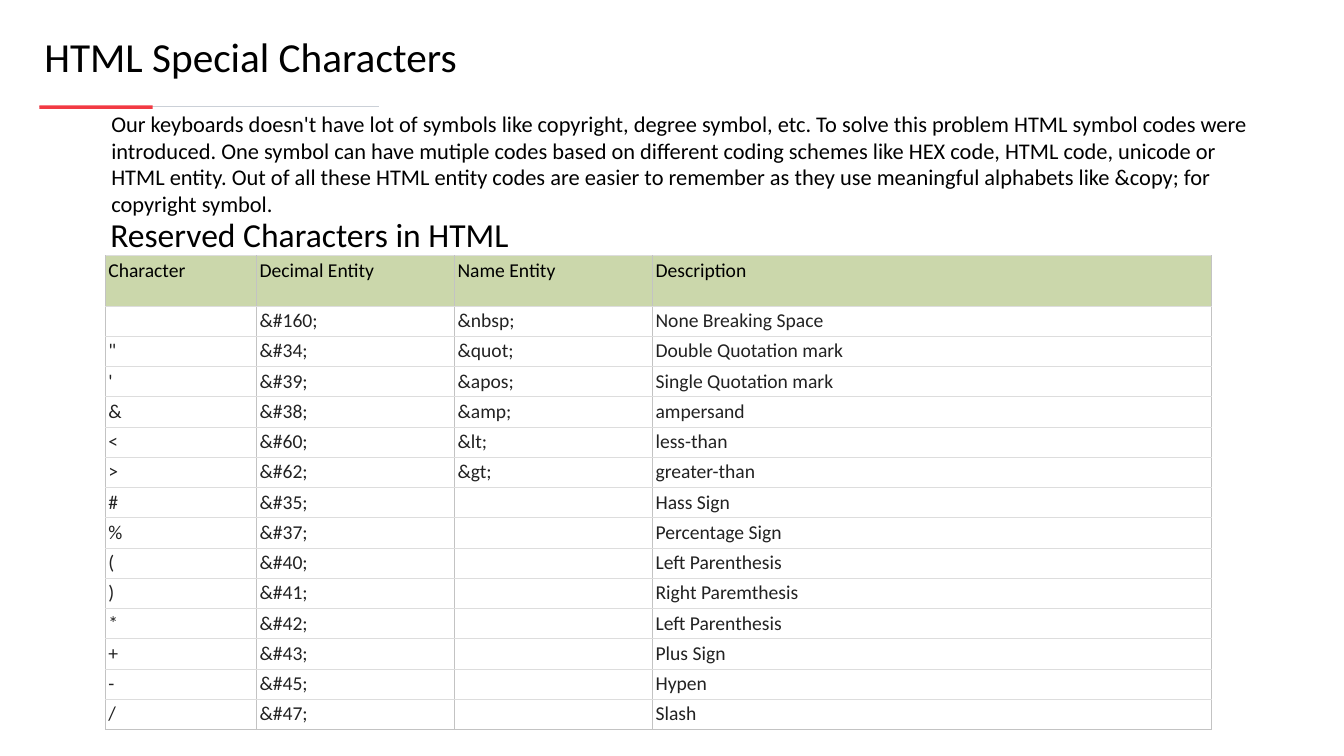
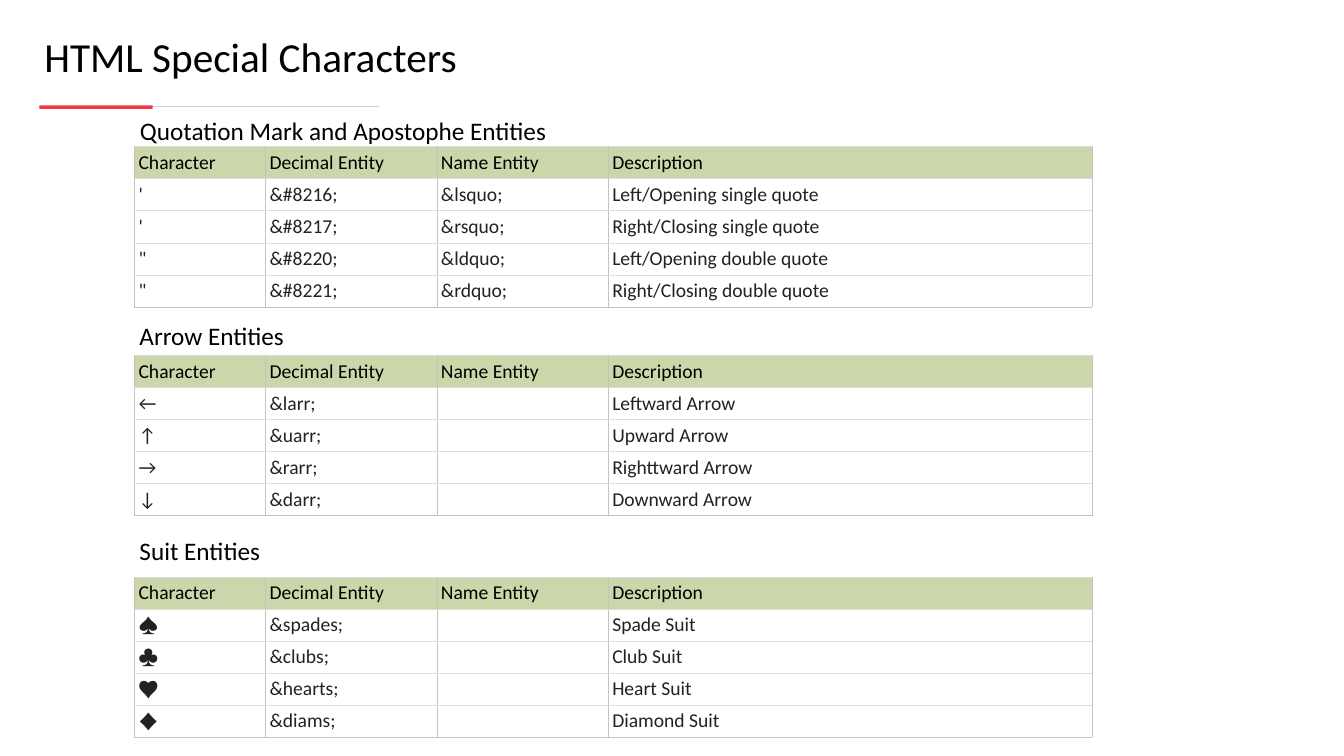
"""Build two slides on HTML special characters."""
import pptx
import pptx.util
import pptx.dml.color
import pptx.enum.shapes
import pptx.enum.text
import pptx.oxml

PX = 9144
FONT = "Calibri"
COLORS = {
    "text": "000000", "body": "222222", "header": "CBD7AB", "cell": "FFFFFF",
    "side": "C3C3C3", "rule": "DDDDDD", "line": "CBD0D7", "accent": "F23A43",
}
TITLE = "HTML Special Characters"
HEADER = ("Character", "Decimal Entity", "Name Entity", "Description")

INTRO = (
    "Our keyboards doesn't have lot of symbols like copyright, degree symbol, etc. "
    "To solve this problem HTML symbol codes were introduced. One symbol can have "
    "mutiple codes based on different coding schemes like HEX code, HTML code, unicode "
    "or HTML entity. Out of all these HTML entity codes are easier to remember as they "
    "use meaningful alphabets like &copy; for copyright symbol."
)
RESERVED = [
    ("", "&#160;", "&nbsp;", "None Breaking Space"),
    ('"', "&#34;", "&quot;", "Double Quotation mark"),
    ("'", "&#39;", "&apos;", "Single Quotation mark"),
    ("&", "&#38;", "&amp;", "ampersand"),
    ("<", "&#60;", "&lt;", "less-than"),
    (">", "&#62;", "&gt;", "greater-than"),
    ("#", "&#35;", "", "Hass Sign"),
    ("%", "&#37;", "", "Percentage Sign"),
    ("(", "&#40;", "", "Left Parenthesis"),
    (")", "&#41;", "", "Right Paremthesis"),
    ("*", "&#42;", "", "Left Parenthesis"),
    ("+", "&#43;", "", "Plus Sign"),
    ("-", "&#45;", "", "Hypen"),
    ("/", "&#47;", "", "Slash"),
]
QUOTES = [
    ("'", "&#8216;", "&lsquo;", "Left/Opening single quote"),
    ("'", "&#8217;", "&rsquo;", "Right/Closing single quote"),
    ('"', "&#8220;", "&ldquo;", "Left/Opening double quote"),
    ('"', "&#8221;", "&rdquo;", "Right/Closing double quote"),
]
ARROWS = [
    ("←", "&larr;", "", "Leftward Arrow"),
    ("↑", "&uarr;", "", "Upward Arrow"),
    ("→", "&rarr;", "", "Righttward Arrow"),
    ("↓", "&darr;", "", "Downward Arrow"),
]
SUITS = [
    ("♠", "&spades;", "", "Spade Suit"),
    ("♣", "&clubs;", "", "Club Suit"),
    ("♥", "&hearts;", "", "Heart Suit"),
    ("♦", "&diams;", "", "Diamond Suit"),
]
RESERVED_GRID = {"left": 209, "columns": (300, 393, 393, 1109),
                 "header": 100, "row": 60, "inset": 6}
ENTITY_GRID = {"left": 267, "columns": (260, 340, 340, 960),
               "header": 63, "row": 63, "inset": 8}
SLIDES = [
    {
        "texts": [(INTRO, 32, (211, 213, 2308, 226)),
                  ("Reserved Characters in HTML", 48, (209, 419, 1334, 91))],
        "tables": [(RESERVED, 507, RESERVED_GRID)],
    },
    {
        "texts": [("Quotation Mark and Apostophe Entities", 36, (268, 224, 1334, 71)),
                  ("Arrow Entities", 36, (267, 631, 1334, 71)),
                  ("Suit Entities", 36, (267, 1057, 1334, 71))],
        "tables": [(QUOTES, 291, ENTITY_GRID), (ARROWS, 705, ENTITY_GRID),
                   (SUITS, 1145, ENTITY_GRID)],
    },
]


def px(*lengths):
    return [pptx.util.Emu(length * PX) for length in lengths]


def rgb(name):
    return pptx.dml.color.RGBColor.from_string(COLORS[name])


def write(frame, text, size, color="text"):
    frame.text = text
    paragraph = frame.paragraphs[0]
    paragraph.font.name = FONT
    paragraph.font.size = pptx.util.Pt(size)
    paragraph.font.color.rgb = rgb(color)
    return paragraph


def add_title(slide):
    title = slide.shapes.title
    title.left, title.top, title.width, title.height = px(78, 59, 2505, 104)
    frame = title.text_frame
    frame.auto_size = pptx.enum.text.MSO_AUTO_SIZE.NONE
    frame.vertical_anchor = pptx.enum.text.MSO_ANCHOR.MIDDLE
    write(frame, TITLE, 59).alignment = pptx.enum.text.PP_ALIGN.LEFT


def add_underline(slide):
    line = slide.shapes.add_connector(
        pptx.enum.shapes.MSO_CONNECTOR.STRAIGHT, *px(78, 212, 752, 212))
    line.line.color.rgb = rgb("line")
    line.line.width = pptx.util.Pt(1.5)
    effects = f"<a:effectLst {pptx.oxml.ns.nsdecls('a')}/>"
    line._element.spPr.append(pptx.oxml.parse_xml(effects))
    accent = slide.shapes.add_shape(
        pptx.enum.shapes.MSO_SHAPE.RECTANGLE, *px(78, 209, 225, 7))
    accent.shadow.inherit = False
    accent.fill.solid()
    accent.fill.fore_color.rgb = rgb("accent")
    accent.line.fill.background()


def add_text(slide, text, size, box):
    frame = slide.shapes.add_textbox(*px(*box)).text_frame
    frame.word_wrap = True
    frame.auto_size = pptx.enum.text.MSO_AUTO_SIZE.SHAPE_TO_FIT_TEXT
    write(frame, text, size)


def set_borders(cell, bottom):
    properties = cell._tc.get_or_add_tcPr()
    for edge, color in zip("LRTB", ("side", "side", "rule", bottom)):
        properties.append(pptx.oxml.parse_xml(
            f'<a:ln{edge} {pptx.oxml.ns.nsdecls("a")} w="9525"><a:solidFill>'
            f'<a:srgbClr val="{COLORS[color]}"/></a:solidFill></a:ln{edge}>'))


def add_entity_table(slide, entities, top, grid):
    rows = [HEADER, *entities]
    heights = [grid["header"]] + [grid["row"]] * len(entities)
    columns = grid["columns"]
    table = slide.shapes.add_table(
        len(rows), len(columns),
        *px(grid["left"], top, sum(columns), sum(heights))).table
    table.horz_banding = False
    table.first_row = False
    for column, width in zip(table.columns, px(*columns)):
        column.width = width
    for r, (row, height) in enumerate(zip(rows, px(*heights))):
        table.rows[r].height = height
        for c, text in enumerate(row):
            cell = table.cell(r, c)
            set_borders(cell, "side" if r == len(entities) else "rule")
            cell.fill.solid()
            cell.fill.fore_color.rgb = rgb("cell" if r else "header")
            inset, = px(grid["inset"])
            cell.margin_left = cell.margin_right = inset
            cell.margin_top = cell.margin_bottom = inset
            write(cell.text_frame, text, 28, "body" if r else "text")


def main():
    deck = pptx.Presentation()
    deck.slide_width, deck.slide_height = px(2667, 1500)
    for content in SLIDES:
        slide = deck.slides.add_slide(deck.slide_layouts[5])
        add_underline(slide)
        add_title(slide)
        for entities, top, grid in content["tables"]:
            add_entity_table(slide, entities, top, grid)
        for text, size, box in content["texts"]:
            add_text(slide, text, size, box)
    deck.save("out.pptx")


if __name__ == "__main__":
    main()
